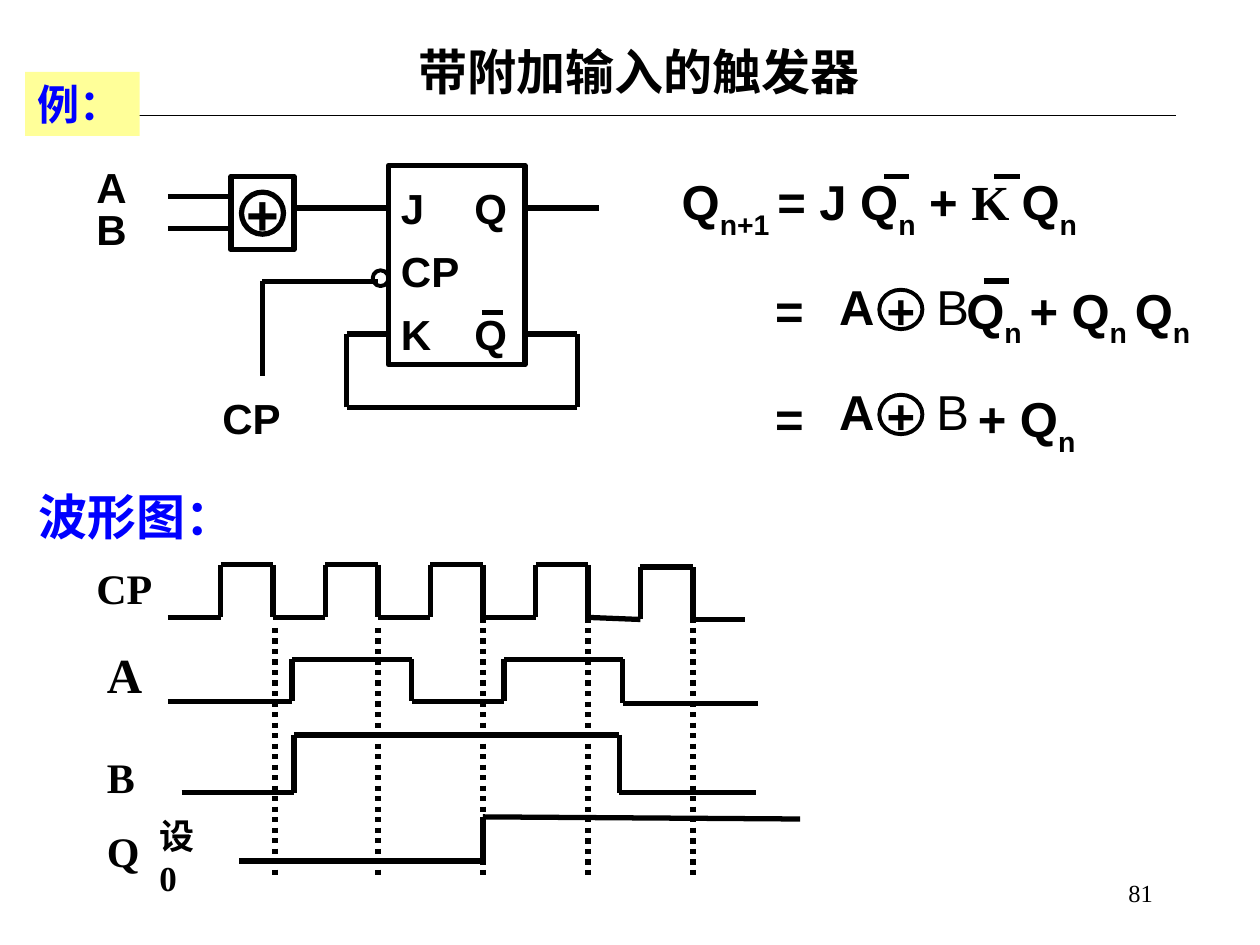
from itertools import pairwise

from pptx import Presentation
from pptx import util as u
from pptx.dml.color import RGBColor
from pptx.enum import dml, shapes, text
from pptx.oxml.ns import qn
from lxml import etree

BLACK = RGBColor(0x00, 0x00, 0x00)
BLUE = RGBColor(0x00, 0x00, 0xFF)
YELLOW = RGBColor(0xFF, 0xFF, 0x99)
SANS, SERIF = "Arial", "Times New Roman"
LEFT, CENTER, RIGHT = text.PP_ALIGN.LEFT, text.PP_ALIGN.CENTER, text.PP_ALIGN.RIGHT
TOP, MIDDLE = text.MSO_ANCHOR.TOP, text.MSO_ANCHOR.MIDDLE

presentation = Presentation()
presentation.slide_width, presentation.slide_height = u.Inches(10), u.Inches(7.5)
CELL = presentation.slide_width / 120  # grid of 120 columns and 90 rows
slide = presentation.slides.add_slide(presentation.slide_layouts[5])


def write(shape, paragraphs, size, font=SANS, color=BLACK, bold=True, align=LEFT,
          anchor=TOP, wrap=True, before=50, tabs=()):
    """Each paragraph is a list of (text, font or None, is_subscript) runs."""
    frame = shape.text_frame
    frame_format = {"word_wrap": wrap, "vertical_anchor": anchor,
                    "auto_size": text.MSO_AUTO_SIZE.NONE}
    for name, value in frame_format.items():
        setattr(frame, name, value)
    for index, runs in enumerate(paragraphs):
        paragraph = frame.add_paragraph() if index else frame.paragraphs[0]
        paragraph.alignment = align
        properties = paragraph._p.get_or_add_pPr()
        spacing = etree.SubElement(properties, qn("a:spcBef"))
        etree.SubElement(spacing, qn("a:spcPct"), val=str(before * 1000))
        if tabs and index:
            stops = etree.SubElement(properties, qn("a:tabLst"))
            for column in tabs[index - 1]:
                etree.SubElement(stops, qn("a:tab"), pos=str(round(column * CELL)), algn="l")
        for content, run_font, subscript in runs:
            run = paragraph.add_run()
            run.text = content
            font_format = {"name": run_font or font, "size": u.Pt(size), "bold": bold}
            for name, value in font_format.items():
                setattr(run.font, name, value)
            run.font.color.rgb = color
            if subscript:
                run._r.get_or_add_rPr().set("baseline", "-30000")


def draw_lines(points, width=3, dash=None):
    """Join consecutive grid points by straight connectors."""
    for start, end in pairwise(points):
        ends = [round(value * CELL) for value in (*start, *end)]
        line = slide.shapes.add_connector(shapes.MSO_CONNECTOR.STRAIGHT, *ends)
        line.line.color.rgb = BLACK
        line.line.width = u.Pt(width)
        if dash:
            line.line.dash_style = dash
        etree.SubElement(line._element.spPr, qn("a:effectLst"))


# Title and example label
draw_lines([(9, 11), (112, 11)], width=1)
title = slide.shapes.title
title_place = {"left": 21.2, "top": 3.35, "width": 79.3, "height": 6.8}
for name, value in title_place.items():
    setattr(title, name, round(value * CELL))
write(title, [[("带附加输入的触发器", None, False)]], 28, align=CENTER)

# Outlined shapes: kind, left, top, width, height, line width, plus size
RECTANGLE, OVAL = shapes.MSO_SHAPE.RECTANGLE, shapes.MSO_SHAPE.OVAL
outlines = [
    (RECTANGLE, 22, 16.8, 6, 7, 3, None),          # XOR gate
    (OVAL, 23, 18.3, 4, 4, 3, 32),
    (RECTANGLE, 37, 15.75, 13, 19, 3, None),       # flip-flop
    (OVAL, 35.5, 25.75, 1.5, 1.5, 2.25, None),     # clock inversion
    (OVAL, 83.75, 27.6, 4.1, 3.75, 2.25, 28),      # XOR signs in the equations
    (OVAL, 83.75, 37.6, 4.1, 3.75, 2.25, 28),
]
for kind, *place, line_width, plus_size in outlines:
    shape = slide.shapes.add_shape(kind, *(round(value * CELL) for value in place))
    shape.shadow.inherit = False
    shape.fill.background()
    shape.line.color.rgb = BLACK
    shape.line.width = u.Pt(line_width)
    if plus_size:
        write(shape, [[("+", None, False)]], plus_size, align=CENTER, anchor=MIDDLE,
              wrap=False, before=0)

label = slide.shapes.add_shape(RECTANGLE, *(round(v * CELL) for v in (2.4, 6.85, 10.9, 6.1)))
label.shadow.inherit = False
label.fill.solid()
label.fill.fore_color.rgb = YELLOW
label.line.fill.background()
write(label, [[("例：", None, False)]], 24, color=BLUE)

# Circuit wires
for wire in (
    [(16, 18.75), (22, 18.75)],
    [(16, 21.75), (22, 21.75)],
    [(28, 19.8), (37, 19.8)],
    [(50, 19.8), (57, 19.8)],
    [(36, 26.8), (25, 26.8), (25, 35.8)],
    [(50, 31.8), (55, 31.8), (55, 38.8), (33, 38.8), (33, 31.8), (37, 31.8)],
):
    draw_lines(wire)

# Negation bars
for column, row, length in ((45.9, 29.8, 2), (84.2, 16.8, 2.4), (94.7, 16.8, 2.4), (93.7, 26.75, 2.4)):
    draw_lines([(column, row), (column + length, row)])

# Waveforms
clock = [(16, 58.8)]
for pulse in range(5):
    start, drop = 21 + 10 * pulse, 0.2 if pulse == 4 else 0
    high, low = 53.8 + drop, 58.8 + drop
    clock += [(start, low), (start, high), (start + 5, high), (start + 5, low)]
clock.append((71, 59))
wave_a = [(16, 66.8), (27.8, 66.8), (27.8, 62.8), (39.2, 62.8), (39.2, 66.8),
          (48, 66.8), (48, 62.8), (59.3, 62.8), (59.3, 67), (72.2, 67)]
wave_b = [(17.3, 75.5), (28, 75.5), (28, 70), (59, 70), (59, 75.5), (72, 75.5)]
wave_q = [(22.8, 82), (46, 82), (46, 77.8), (76.2, 78)]
for wave in (clock, wave_a, wave_b, wave_q):
    draw_lines(wave)
for column, top in ((26.2, 59.8), (36, 59.8), (46, 58.8), (56, 58.8), (66, 58.8)):
    draw_lines([(column, top), (column, 83.8)], dash=dml.MSO_LINE.ROUND_DOT)

# Labels: text, left, top, width, height, size, format
serif, plain = {"font": SERIF}, {"bold": False}
labels = [
    ("J", 37, 16.8, 5, 6, 24, {}),
    ("CP", 37, 22.8, 8, 6, 24, {}),
    ("K", 37, 28.8, 5, 6, 24, {}),
    ("Q", 44, 16.8, 5, 6, 24, {}),
    ("Q", 44, 28.8, 7, 6, 24, {}),
    ("CP", 20, 36.75, 8, 6, 24, {}),
    ("A", 8, 14.75, 6, 6, 24, {}),
    ("B", 8, 18.75, 8, 6, 24, {}),
    ("CP", 8, 53, 10, 6, 24, serif),
    ("A", 9, 60.8, 10, 6.8, 28, serif),
    ("B", 9, 71, 10, 6, 24, serif),
    ("Q", 9, 78, 8, 6, 24, serif),
    ("设 0", 14, 77, 7.5, 8, 20, {"font": SERIF, "before": 0}),
    ("A", 78.75, 25.7, 7, 6.8, 28, {}),
    ("B", 88, 25.75, 7, 6.8, 28, plain),
    ("A", 78.75, 35.75, 7, 6.8, 28, {}),
    ("B", 88, 35.75, 7, 6.8, 28, plain),
    ("波形图：", 2.5, 45.75, 47.3, 6.8, 28, {"color": BLUE}),
    ("81", 86, 82, 25, 6, 14, {"font": SERIF, "bold": False, "align": RIGHT,
                               "anchor": MIDDLE, "before": 0}),
]
for content, *place, size, style in labels:
    box = slide.shapes.add_textbox(*(round(value * CELL) for value in place))
    write(box, [[(content, None, False)]], size, **style)

# Characteristic equation; the XOR terms stand in the gaps
equation = [
    [("Q", None, False), ("n+1 ", None, True), ("= J Q", None, False), ("n", None, True),
     (" + ", None, False), ("K ", SERIF, False), ("Q", None, False), ("n", None, True)],
    [("\t=\tQ", None, False), ("n ", None, True), ("+ Q", None, False), ("n ", None, True),
     ("Q", None, False), ("n", None, True)],
    [("\t=\t+ Q", None, False), ("n", None, True)],
]
box = slide.shapes.add_textbox(*(round(value * CELL) for value in (63.75, 15.75, 54, 27)))
write(box, equation, 28, before=80, tabs=((8.9, 27.1), (8.9, 28.2)))

presentation.save("out.pptx")
